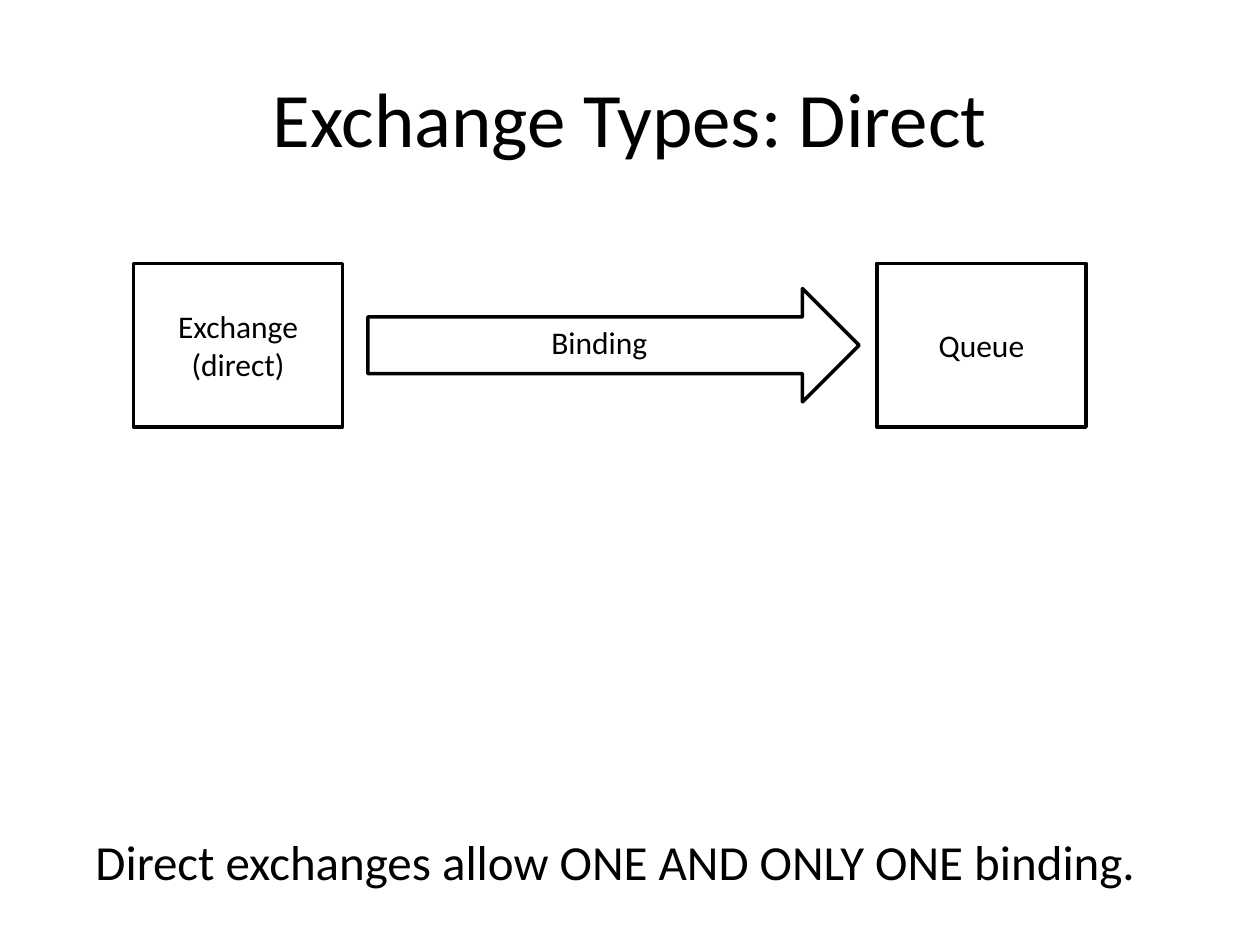
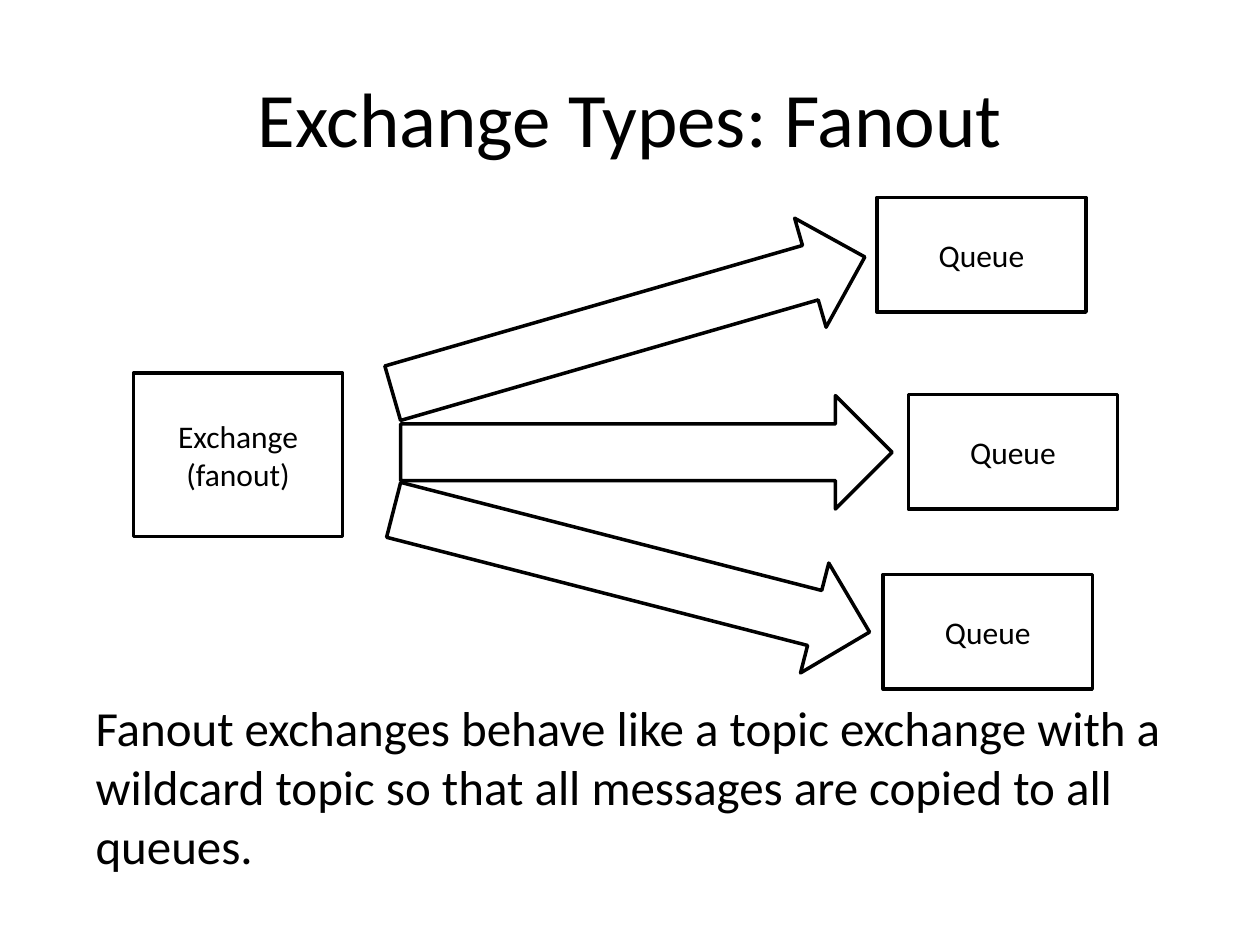
from pptx import Presentation
from pptx.dml.color import RGBColor
from pptx.enum.shapes import MSO_SHAPE
from pptx.enum.text import MSO_ANCHOR, PP_ALIGN
from pptx.util import Pt

BLACK = RGBColor(0, 0, 0)
WHITE = RGBColor(255, 255, 255)
FONT = "Calibri"
BOX_W = 119.5
TALL, SHORT = 93.6, 65.5
ARROW_W, ARROW_H = 280.8, 64.8
LEFT = 76.3


def write(frame, text, size, align, anchor, wrap=True):
    frame.word_wrap = wrap
    frame.vertical_anchor = anchor
    para = frame.paragraphs[0]
    para.alignment = align
    for i, line in enumerate(text.split("\n")):
        if i:
            para.add_line_break()
        run = para.add_run()
        run.text = line
        run.font.name = FONT
        run.font.size = Pt(size)
        run.font.color.rgb = BLACK


def add_title(slide, text):
    box = slide.shapes.add_textbox(Pt(36), Pt(21.6), Pt(648), Pt(90))
    write(box.text_frame, text, 44, PP_ALIGN.CENTER, MSO_ANCHOR.MIDDLE)


def add_note(slide, text, top, width, height):
    box = slide.shapes.add_textbox(Pt(47.5), Pt(top), Pt(width), Pt(height))
    write(box.text_frame, text, 28, PP_ALIGN.LEFT, MSO_ANCHOR.TOP, False)


def add_form(slide, kind, left, top, width, height):
    form = slide.shapes.add_shape(kind, Pt(left), Pt(top), Pt(width), Pt(height))
    form.shadow.inherit = False
    form.fill.solid()
    form.fill.fore_color.rgb = WHITE
    form.line.color.rgb = BLACK
    form.line.width = Pt(2)
    return form


def add_box(slide, text, left, top, height):
    box = add_form(slide, MSO_SHAPE.RECTANGLE, left, top, BOX_W, height)
    write(box.text_frame, text, 18, PP_ALIGN.CENTER, MSO_ANCHOR.MIDDLE)


def add_arrow(slide, left, top, turn=0, text=""):
    arrow = add_form(slide, MSO_SHAPE.RIGHT_ARROW, left, top, ARROW_W, ARROW_H)
    arrow.rotation = turn
    if text:
        write(arrow.text_frame, text, 18, PP_ALIGN.CENTER, MSO_ANCHOR.TOP)


def add_page(deck, name):
    slide = deck.slides.add_slide(deck.slide_layouts[6])
    add_title(slide, f"Exchange Types: {name}")
    return slide


def draw_direct(deck):
    slide = add_page(deck, "Direct")
    top = 150.5
    add_box(slide, "Exchange\n(direct)", LEFT, top, TALL)
    add_box(slide, "Queue", 501.1, top, TALL)
    add_arrow(slide, 210.2, top + (TALL - ARROW_H) / 2, text="Binding")
    add_note(slide, "Direct exchanges allow ONE AND ONLY ONE binding.",
             471.6, 619.2, 41)


def draw_fanout(deck):
    slide = add_page(deck, "Fanout")
    add_box(slide, "Exchange\n(fanout)", LEFT, 213.1, TALL)
    for left, top in ((501.1, 112.8), (519.1, 225.4), (504.7, 328.3)):
        add_box(slide, "Queue", left, top, SHORT)
    for left, top, turn in ((218.9, 153.4, 343.9), (229, 226.1, 0),
                            (220.5, 293.9, 14.4)):
        add_arrow(slide, left, top, turn)
    add_note(slide, "Fanout exchanges behave like a topic exchange with a\n"
             "wildcard topic so that all messages are copied to all\nqueues.",
             395.3, 635, 108.7)


def main():
    deck = Presentation()
    deck.slide_width, deck.slide_height = Pt(720), Pt(540)
    draw_direct(deck)
    draw_fanout(deck)
    deck.save("out.pptx")


main()
